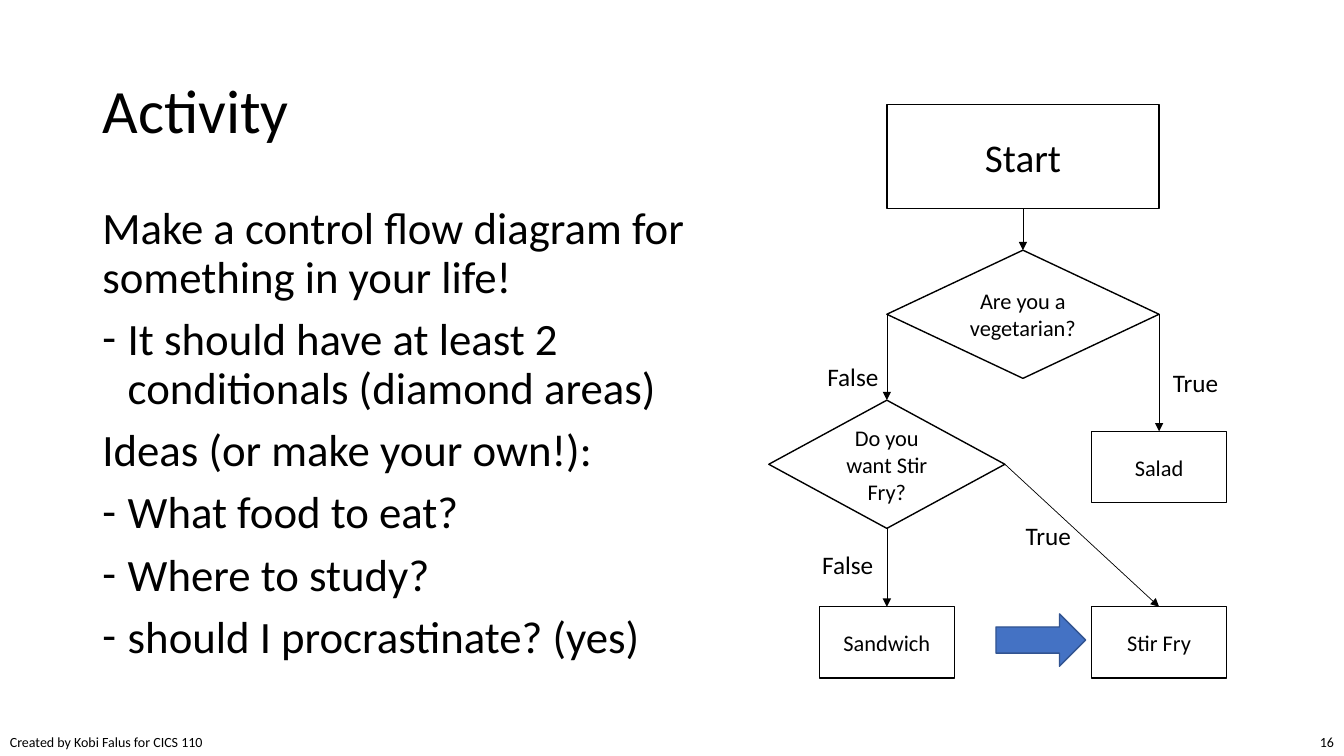
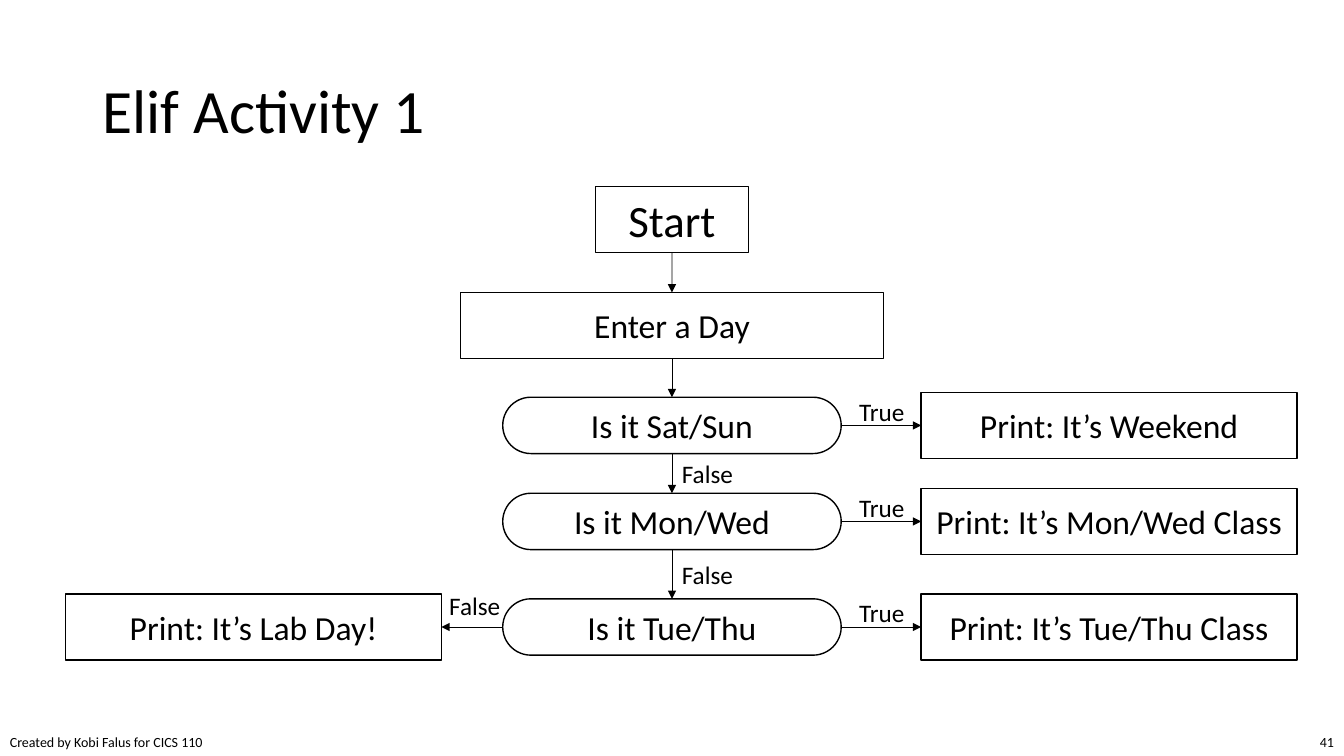
from dataclasses import dataclass

import lxml.etree
import pptx
import pptx.dml.color
import pptx.enum.shapes
import pptx.enum.text
import pptx.oxml.ns
import pptx.presentation
import pptx.shapes.autoshape
import pptx.slide
import pptx.text.text
import pptx.util

Cm = pptx.util.Cm
Pt = pptx.util.Pt
Color = pptx.dml.color.RGBColor
Kind = pptx.enum.shapes.MSO_SHAPE
Align = pptx.enum.text.PP_ALIGN
Anchor = pptx.enum.text.MSO_ANCHOR
Fit = pptx.enum.text.MSO_AUTO_SIZE
Slide = pptx.slide.Slide
Shape = pptx.shapes.autoshape.Shape
qn = pptx.oxml.ns.qn

BLACK = Color(0x00, 0x00, 0x00)
WHITE = Color(0xFF, 0xFF, 0xFF)
BLUE = Color(0x44, 0x72, 0xC4)
NAVY = Color(0x32, 0x54, 0x91)
FONT = "Calibri"
WIDE, HIGH = 33.87, 19.05
TOP, LEFT, BASE, RIGHT = range(4)


@dataclass
class Node:
    key: str
    text: str
    x: float
    y: float
    wide: float
    high: float
    size: float
    kind: Kind = Kind.RECTANGLE


@dataclass
class Link:
    start: str
    out: int
    end: str
    into: int


@dataclass
class Label:
    text: str
    left: float
    top: float


@dataclass
class Line:
    text: str
    dash: bool = False


def style(para: pptx.text.text._Paragraph, size: float) -> None:
    for run in para.runs:
        run.font.name = FONT
        run.font.size = Pt(size)
        run.font.color.rgb = BLACK


def paint(shape: Shape, fill: Color, edge: Color) -> None:
    shape.shadow.inherit = False
    shape.fill.solid()
    shape.fill.fore_color.rgb = fill
    shape.line.color.rgb = edge
    shape.line.width = Pt(1)


def add_text(slide: Slide, text: str, left: float, top: float, wide: float,
             high: float, size: float, align: Align = Align.LEFT) -> None:
    box = slide.shapes.add_textbox(Cm(left), Cm(top), Cm(wide), Cm(high))
    frame = box.text_frame
    frame.text = text
    frame.word_wrap = False
    frame.auto_size = Fit.SHAPE_TO_FIT_TEXT
    para = frame.paragraphs[0]
    para.alignment = align
    style(para, size)


def add_slide(deck: pptx.presentation.Presentation, title: str, page: str) -> Slide:
    slide = deck.slides.add_slide(deck.slide_layouts[5])
    head = slide.shapes.title
    head.left, head.top, head.width, head.height = Cm(2.33), Cm(1.01), Cm(29.21), Cm(3.68)
    head.text_frame.text = title
    head.text_frame.vertical_anchor = Anchor.MIDDLE
    para = head.text_frame.paragraphs[0]
    para.alignment = Align.LEFT
    para.line_spacing = 0.9
    style(para, 44)
    add_text(slide, "Created by Kobi Falus for CICS 110", 0, 18.37, 5.46, 0.68, 10)
    add_text(slide, page, WIDE - 1.4, 18.37, 1.4, 0.68, 10, Align.RIGHT)
    return slide


def add_body(slide: Slide, lines: list[Line]) -> None:
    box = slide.shapes.add_textbox(Cm(2.33), Cm(5.07), Cm(15.35), Cm(12.09))
    frame = box.text_frame
    frame.word_wrap = True
    frame.text = "\n".join(line.text for line in lines)
    for rank, (line, para) in enumerate(zip(lines, frame.paragraphs)):
        if line.dash:
            props = para._p.get_or_add_pPr()
            props.set("marL", str(Cm(0.64)))
            props.set("indent", str(Cm(-0.64)))
            lxml.etree.SubElement(props, qn("a:buFont"), typeface=FONT)
            lxml.etree.SubElement(props, qn("a:buChar"), char="-")
        para.line_spacing = 0.9
        if rank:
            para.space_before = Pt(10)
        style(para, 32)


def add_node(slide: Slide, node: Node) -> Shape:
    shape = slide.shapes.add_shape(
        node.kind, Cm(node.x - node.wide / 2), Cm(node.y - node.high / 2),
        Cm(node.wide), Cm(node.high))
    if node.kind == Kind.ROUNDED_RECTANGLE:
        shape.adjustments[0] = 0.5
    paint(shape, WHITE, BLACK)
    frame = shape.text_frame
    frame.text = node.text
    frame.word_wrap = True
    frame.vertical_anchor = Anchor.MIDDLE
    para = frame.paragraphs[0]
    para.alignment = Align.CENTER
    style(para, node.size)
    return shape


def add_link(slide: Slide, link: Link, shapes: dict[str, Shape]) -> None:
    line = slide.shapes.add_connector(
        pptx.enum.shapes.MSO_CONNECTOR.STRAIGHT, 0, 0, 0, 0)
    line.begin_connect(shapes[link.start], link.out)
    line.end_connect(shapes[link.end], link.into)
    line.line.color.rgb = BLACK
    line.line.width = Pt(0.5)
    props = line._element.spPr
    lxml.etree.SubElement(props.find(qn("a:ln")), qn("a:tailEnd"), type="triangle")
    lxml.etree.SubElement(props, qn("a:effectLst"))


def add_flow(slide: Slide, nodes: list[Node], links: list[Link],
             labels: list[Label]) -> None:
    shapes = {node.key: add_node(slide, node) for node in nodes}
    for link in links:
        add_link(slide, link, shapes)
    for label in labels:
        wide = 1.8 if label.text == "False" else 1.68
        add_text(slide, label.text, label.left, label.top, wide, 1.03, 18)


def add_food(deck: pptx.presentation.Presentation) -> None:
    slide = add_slide(deck, "Activity", "16")
    add_body(slide, [
        Line("Make a control flow diagram for something in your life!"),
        Line("It should have at least 2 conditionals (diamond areas)", True),
        Line("Ideas (or make your own!):"),
        Line("What food to eat?", True),
        Line("Where to study?", True),
        Line("should I procrastinate? (yes)", True),
    ])
    mid, half = 25.78, 3.43
    west, east = mid - half, mid + half
    test = Kind.FLOWCHART_DECISION
    nodes = [
        Node("start", "Start", mid, 3.95, 2 * half, 2.62, 28),
        Node("diet", "Are you a vegetarian?", mid, 7.92, 2 * half, 3.23, 16, test),
        Node("wish", "Do you want Stir Fry?", west, 11.7, 5.95, 3.23, 16, test),
        Node("salad", "Salad", east, 11.77, 3.4, 1.8, 16),
        Node("bread", "Sandwich", west, 16.19, 3.4, 1.8, 16),
        Node("fry", "Stir Fry", east, 16.19, 3.4, 1.8, 16),
    ]
    links = [
        Link("start", BASE, "diet", TOP),
        Link("diet", LEFT, "wish", TOP),
        Link("diet", RIGHT, "salad", TOP),
        Link("wish", RIGHT, "fry", TOP),
        Link("wish", BASE, "bread", TOP),
    ]
    labels = [
        Label("False", 20.47, 13.72),
        Label("False", 20.6, 8.97),
        Label("True", 29.31, 9.12),
        Label("True", 25.6, 12.98),
    ]
    add_flow(slide, nodes, links, labels)
    arrow = slide.shapes.add_shape(
        Kind.RIGHT_ARROW, Cm(25.1), Cm(15.47), Cm(2.26), Cm(1.32))
    paint(arrow, BLUE, NAVY)


def add_days(deck: pptx.presentation.Presentation) -> None:
    slide = add_slide(deck, "Elif Activity 1", "41")
    mid, high = WIDE / 2, 1.66
    rows = [10.72, 13.14, 15.8]
    days = ["Sat/Sun", "Mon/Wed", "Tue/Thu"]
    notes = ["Weekend", "Mon/Wed Class", "Tue/Thu Class"]
    nodes = [
        Node("start", "Start", mid, 5.53, 3.86, high, 32),
        Node("enter", "Enter a Day", mid, 8.2, 10.67, high, 24),
        Node("lab", "Print: It’s Lab Day!", 6.39, rows[-1], 9.47, high, 24),
    ]
    links = [Link("start", BASE, "enter", TOP)]
    labels = [Label("False", 11.07, 14.76)]
    last = "enter"
    for day, note, y in zip(days, notes, rows):
        nodes.append(Node(day, f"Is it {day}", mid, y, 8.53, 1.42, 24,
                          Kind.ROUNDED_RECTANGLE))
        nodes.append(Node(note, f"Print: It’s {note}", 27.95, y, 9.47, high, 24))
        links.append(Link(last, BASE, day, TOP))
        links.append(Link(day, RIGHT, note, LEFT))
        labels.append(Label("True", 21.4, y - 0.87))
        last = day
    links.append(Link(last, LEFT, "lab", RIGHT))
    for above, below in zip(rows, rows[1:]):
        labels.append(Label("False", mid, (above + below) / 2 - 0.51))
    add_flow(slide, nodes, links, labels)


def main() -> None:
    deck = pptx.Presentation()
    deck.slide_width, deck.slide_height = Cm(WIDE), Cm(HIGH)
    add_food(deck)
    add_days(deck)
    deck.save("out.pptx")


if __name__ == "__main__":
    main()
